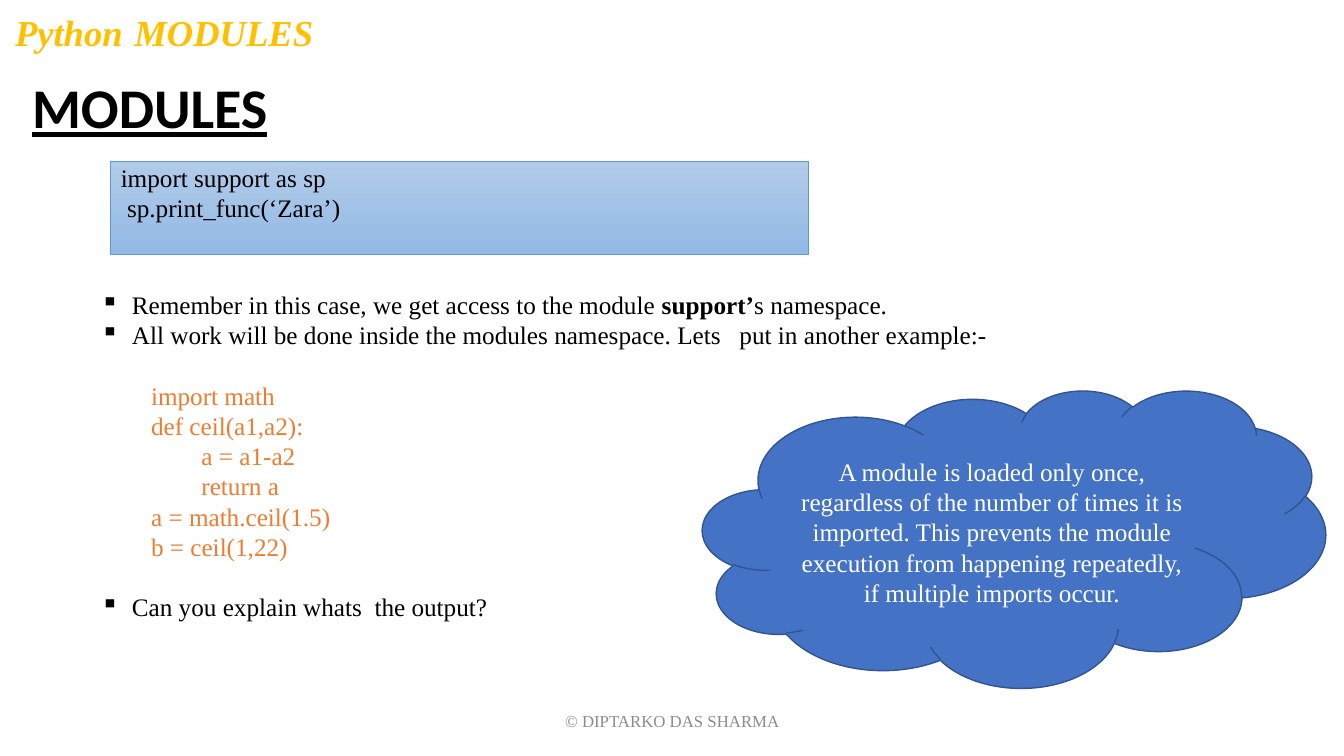
from lxml import etree
from pptx import Presentation
from pptx.dml.color import RGBColor
from pptx.enum.shapes import MSO_SHAPE
from pptx.enum.text import MSO_ANCHOR, PP_ALIGN
from pptx.oxml.ns import qn
from pptx.util import Inches, Pt

RECT, CLOUD = MSO_SHAPE.RECTANGLE, MSO_SHAPE.CLOUD
TOP, MIDDLE = MSO_ANCHOR.TOP, MSO_ANCHOR.MIDDLE
LEFT, CENTER = PP_ALIGN.LEFT, PP_ALIGN.CENTER
SERIF, SANS = "Times New Roman", "Calibri"
COLORS = {
    "black": "000000", "white": "FFFFFF", "gold": "FFC000", "orange": "ED7D31",
    "grey": "8C8C8C", "cloud": "4472C4", "cloud_line": "325491",
    "code_top": "B1CBE9", "code_bottom": "93B9E4", "code_line": "5B9BD5",
}
BLANK_LINE = 21.6

NOTES = [
    [("Remember in this case, we get access to the module ", {}),
     ("support’", {"bold": True}), ("s namespace.", {})],
    [("All work will be done inside the modules namespace. "
      "Lets   put in another example:-", {})],
]
EXAMPLE = ["import math", "def ceil(a1,a2):", "\ta = a1-a2", "\treturn a",
           "a = math.ceil(1.5)", "b = ceil(1,22)"]
QUESTION = [("Can you explain whats  the output?", {})]
CLOUD_TEXT = ("A module is loaded only once, regardless of the number of times "
              "it is imported. This prevents the module execution from happening "
              "repeatedly, if multiple imports occur.")


def rgb(name):
    return RGBColor.from_string(COLORS[name])


class SlideBuilder:
    """Places elements by (left, top, width, height) in percent of the slide."""

    def __init__(self, prs):
        self.prs = prs
        self.slide = prs.slides.add_slide(prs.slide_layouts[6])

    def place(self, box):
        sides = (self.prs.slide_width, self.prs.slide_height) * 2
        return [round(side * share / 100) for side, share in zip(sides, box)]

    def text_box(self, box, anchor=TOP):
        tf = self.slide.shapes.add_textbox(*self.place(box)).text_frame
        tf.word_wrap = True
        tf.vertical_anchor = anchor
        return tf

    def shape(self, kind, box, line, width):
        sp = self.slide.shapes.add_shape(kind, *self.place(box))
        sp.shadow.inherit = False
        sp.line.color.rgb = rgb(line)
        sp.line.width = Pt(width)
        return sp

    def format_run(self, r, size=18, font=SERIF, color="black", **flags):
        r.font.size, r.font.name = Pt(size), font
        r.font.color.rgb = rgb(color)
        for flag, value in flags.items():
            setattr(r.font, flag, value)

    def paragraph(self, tf, runs, align=LEFT, spacing=None, before=0):
        p = tf.add_paragraph() if tf.text else tf.paragraphs[0]
        p.alignment, p.line_spacing, p.space_before = align, spacing, Pt(before)
        for text, style in runs:
            r = p.add_run()
            r.text = text
            self.format_run(r, **style)
        return p

    def indent(self, p, margin, hanging=0, bullet=None):
        pPr = p._p.get_or_add_pPr()
        pPr.set("marL", str(Inches(margin)))
        pPr.set("indent", str(-Inches(hanging)))
        if bullet:
            etree.SubElement(pPr, qn("a:buChar")).set("char", bullet)

    def bullet(self, tf, runs, before=0):
        self.indent(self.paragraph(tf, runs, before=before), 0.31, 0.31, "▪")


def main():
    prs = Presentation()
    prs.slide_width, prs.slide_height = Inches(13.33), Inches(7.5)
    s = SlideBuilder(prs)

    heading = s.text_box((1.65, 10, 98.35, 87.6))
    s.paragraph(heading, [("MODULES", {"size": 40, "font": SANS, "bold": True,
                                       "underline": True})], spacing=0.9)

    title = s.text_box((0.38, 0, 29.1, 8.4), MIDDLE)
    gold = {"size": 26.1, "color": "gold", "bold": True, "italic": True}
    s.paragraph(title, [("Python", gold), (" ", {"size": 32.4, "bold": True}),
                        ("MODULES", gold)], spacing=0.9)

    code = s.shape(RECT, (8.25, 21.33, 51.9, 12.27), "code_line", 0.5)
    code.fill.gradient()
    code.fill.gradient_angle = 270
    for stop, color in zip(code.fill.gradient_stops, ("code_top", "code_bottom")):
        stop.color.rgb = rgb(color)
    code.text_frame.vertical_anchor = TOP
    code.text_frame.margin_top = Inches(0.01)
    for line in ("import support as sp", " sp.print_func(‘Zara’)"):
        s.paragraph(code.text_frame, [(line, {})])

    notes = s.text_box((6.75, 37.6, 79.5, 53.87))
    for runs in NOTES:
        s.bullet(notes, runs)
    for i, line in enumerate(EXAMPLE):
        p = s.paragraph(notes, [(line, {"color": "orange"})],
                        before=0 if i else BLANK_LINE)
        s.indent(p, 0.5)
    s.bullet(notes, QUESTION, before=BLANK_LINE)

    cloud = s.shape(CLOUD, (52.28, 51.6, 46.35, 39.33), "cloud_line", 1)
    cloud.fill.solid()
    cloud.fill.fore_color.rgb = rgb("cloud")
    cloud.text_frame.vertical_anchor = MIDDLE
    s.paragraph(cloud.text_frame, [(CLOUD_TEXT, {"color": "white"})], CENTER)

    footer = s.text_box((33.15, 92.67, 33.75, 5.33), MIDDLE)
    s.paragraph(footer, [("© DIPTARKO DAS SHARMA", {"size": 12, "color": "grey"})],
                CENTER)

    prs.save("out.pptx")


if __name__ == "__main__":
    main()
